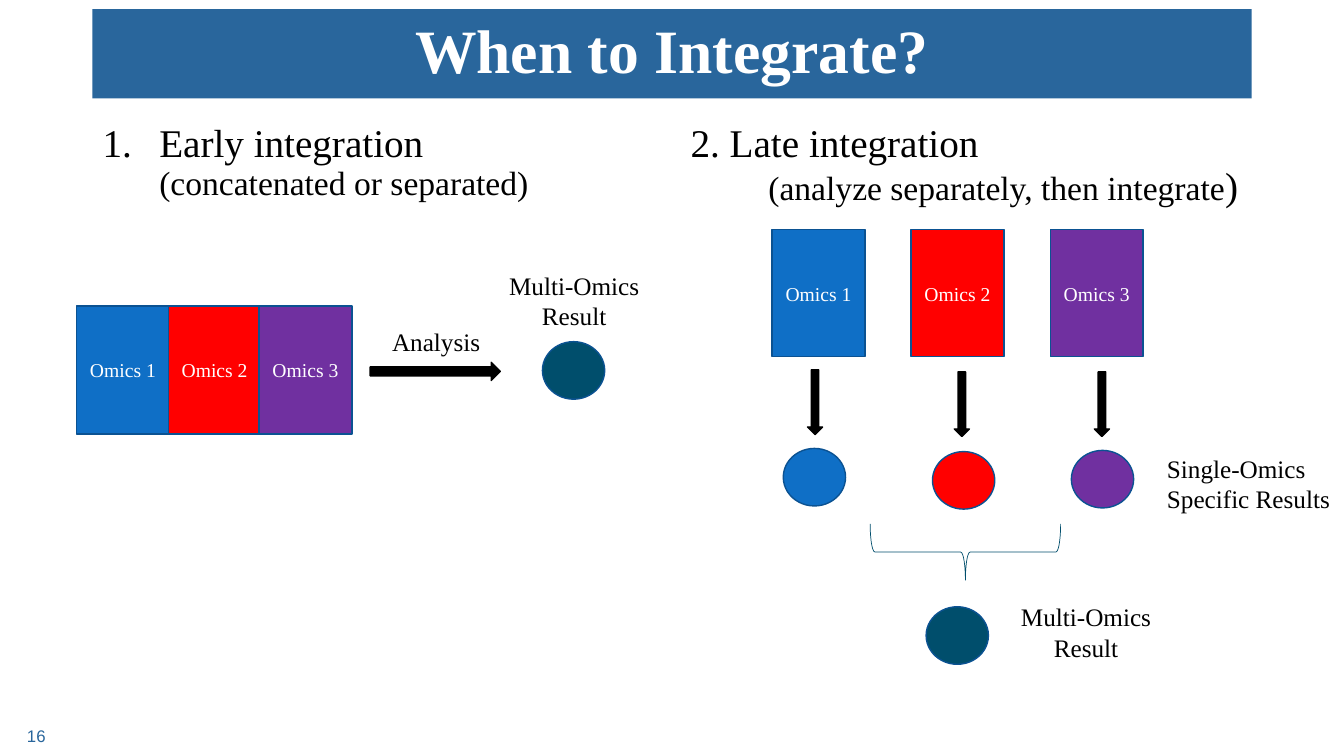
"""Build the slide comparing early and late omics integration."""
import dataclasses
import typing

import pptx
import pptx.dml.color
import pptx.enum.shapes
import pptx.enum.text
import pptx.oxml.xmlchemy
import pptx.util

Cm = pptx.util.Cm
Shapes = pptx.enum.shapes.MSO_SHAPE
Align = pptx.enum.text.PP_ALIGN
Anchor = pptx.enum.text.MSO_ANCHOR
SERIF = "Times New Roman"
COLORS = {
    "banner": "29669C", "blue": "0F6FC6", "red": "FF0000", "purple": "7030A0",
    "teal": "004E6C", "outline": "0B5292", "black": "000000", "white": "FFFFFF",
}
CIRCLE_SIZE = (1.57, 1.45)
Box = tuple[float, float, float, float]


class Run(typing.NamedTuple):
    text: str
    size: float


@dataclasses.dataclass
class Node:
    preset: typing.Any
    box: Box
    fill: str | None
    line: str = "outline"
    weight: float = 1
    text: str = ""
    rotation: float = 0


@dataclasses.dataclass
class Label:
    box: Box
    lines: list[str]
    align: typing.Any = Align.CENTER
    size: float = 18
    font: str = SERIF
    color: str = "black"
    anchor: typing.Any = Anchor.TOP


@dataclasses.dataclass
class BodyLine:
    runs: list[Run]
    margin: float = 0
    hanging: float = 0
    numbered: bool = False


@dataclasses.dataclass
class Omics:
    name: str
    color: str
    joined_left: float
    block_left: float
    arrow: tuple[float, float]
    circle: tuple[float, float]


def rgb(name: str) -> pptx.dml.color.RGBColor:
    return pptx.dml.color.RGBColor.from_string(COLORS[name])


def apply_format(target: typing.Any, values: dict[str, typing.Any]) -> None:
    for name, value in values.items():
        setattr(target, name, value)


def place(shape: typing.Any, box: Box) -> None:
    apply_format(shape, dict(zip(("left", "top", "width", "height"), map(Cm, box))))


def add_run(paragraph: typing.Any, text: str, size: float, color: str,
            font: str = SERIF, bold: bool = False) -> None:
    run = paragraph.add_run()
    run.text = text
    apply_format(run.font, {"name": font, "size": pptx.util.Pt(size), "bold": bold})
    run.font.color.rgb = rgb(color)


def draw_node(slide: typing.Any, node: Node) -> None:
    shape = slide.shapes.add_shape(node.preset, *map(Cm, node.box))
    shape.rotation = node.rotation
    shape.shadow.inherit = False
    if node.fill:
        shape.fill.solid()
        shape.fill.fore_color.rgb = rgb(node.fill)
    else:
        shape.fill.background()
    shape.line.color.rgb = rgb(node.line)
    shape.line.width = pptx.util.Pt(node.weight)
    if node.text:
        shape.text_frame.vertical_anchor = Anchor.MIDDLE
        paragraph = shape.text_frame.paragraphs[0]
        paragraph.alignment = Align.CENTER
        add_run(paragraph, node.text, 14, "white")


def draw_label(slide: typing.Any, label: Label) -> None:
    frame = slide.shapes.add_textbox(*map(Cm, label.box)).text_frame
    apply_format(frame, {"word_wrap": True, "vertical_anchor": label.anchor})
    for index, line in enumerate(label.lines):
        paragraph = frame.add_paragraph() if index else frame.paragraphs[0]
        paragraph.alignment = label.align
        add_run(paragraph, line, label.size, label.color, label.font)


def fill_title(title: typing.Any, text: str) -> None:
    place(title, (2.33, 0.23, 29.21, 2.25))
    title.fill.solid()
    title.fill.fore_color.rgb = rgb("banner")
    apply_format(title.text_frame, {
        "auto_size": pptx.enum.text.MSO_AUTO_SIZE.NONE, "vertical_anchor": Anchor.MIDDLE})
    paragraph = title.text_frame.paragraphs[0]
    apply_format(paragraph, {"alignment": Align.CENTER, "line_spacing": 0.9})
    add_run(paragraph, text, 44, "white", bold=True)


def fill_body(body: typing.Any, left: float, lines: list[BodyLine]) -> None:
    place(body, (left, 3, 14.4, 12.09))
    body.text_frame.auto_size = pptx.enum.text.MSO_AUTO_SIZE.NONE
    new_element = pptx.oxml.xmlchemy.OxmlElement
    for index, line in enumerate(lines):
        paragraph = body.text_frame.add_paragraph() if index else body.text_frame.paragraphs[0]
        properties = paragraph._p.get_or_add_pPr()
        properties.set("marL", str(Cm(line.margin)))
        properties.set("indent", str(-Cm(line.hanging)))
        if line.numbered:
            bullet_font = new_element("a:buFont")
            bullet_font.set("typeface", SERIF)
            number = new_element("a:buAutoNum")
            number.set("type", "arabicPeriod")
            properties.extend([bullet_font, number])
        else:
            properties.append(new_element("a:buNone"))
        apply_format(paragraph, {"line_spacing": 0.9, "space_before": pptx.util.Pt(0)})
        for run in line.runs:
            add_run(paragraph, run.text, run.size, "black")


OMICS = [
    Omics("Omics 1", "blue", 1.93, 19.46, (20.35, 9.32), (19.74, 11.3)),
    Omics("Omics 2", "red", 4.24, 22.96, (24.05, 9.37), (23.5, 11.38)),
    Omics("Omics 3", "purple", 6.53, 26.47, (27.58, 9.37), (27, 11.35)),
]
EARLY_LINES = [
    BodyLine([Run("Early integration", 28)], 1.43, 1.43, True),
    BodyLine([Run("(concatenated or separated)", 24)], 1.43),
]
LATE_LINES = [
    BodyLine([Run("2. Late integration", 28)]),
    BodyLine([Run("(analyze separately, then integrate", 24), Run(")", 28)], 1.96),
]
RESULT_NODES = [
    Node(Shapes.RIGHT_ARROW, (9.33, 9.13, 3.28, 0.46), "black", "black"),
    Node(Shapes.OVAL, (13.67, 8.61, *CIRCLE_SIZE), "teal"),
    Node(Shapes.LEFT_BRACE, (23.62, 11.51, 1.42, 4.8), None, "teal", 0.5, rotation=270),
    Node(Shapes.OVAL, (23.34, 15.29, *CIRCLE_SIZE), "teal"),
]
LABELS = [
    Label((9.63, 8.1, 4.04, 1.02), ["Analysis"], Align.LEFT),
    Label((12.45, 6.68, 4.04, 1.8), ["Multi-Omics", "Result"]),
    Label((29.16, 11.3, 5.59, 1.8), ["Single-Omics Specific Results"], Align.LEFT),
    Label((25.35, 15.04, 4.04, 1.8), ["Multi-Omics", "Result"]),
    Label((0.43, 18.03, 7.62, 1.02), ["16"], Align.LEFT, 12, "Arial", "banner", Anchor.MIDDLE),
]


def main() -> None:
    presentation = pptx.Presentation()
    presentation.slide_width, presentation.slide_height = Cm(33.87), Cm(19.05)
    slide = presentation.slides.add_slide(presentation.slide_layouts[3])
    fill_title(slide.shapes.title, "When to Integrate?")
    fill_body(slide.placeholders[1], 2.33, EARLY_LINES)
    fill_body(slide.placeholders[2], 17.15, LATE_LINES)
    for omics in OMICS:
        for box in ((omics.joined_left, 7.71, 2.34, 3.23), (omics.block_left, 5.79, 2.34, 3.2)):
            draw_node(slide, Node(Shapes.RECTANGLE, box, omics.color, text=omics.name))
        draw_node(slide, Node(Shapes.DOWN_ARROW, (*omics.arrow, 0.38, 1.63), "black", "black"))
        draw_node(slide, Node(Shapes.OVAL, (*omics.circle, *CIRCLE_SIZE), omics.color))
    for node in RESULT_NODES:
        draw_node(slide, node)
    for label in LABELS:
        draw_label(slide, label)
    presentation.save("out.pptx")


if __name__ == "__main__":
    main()
